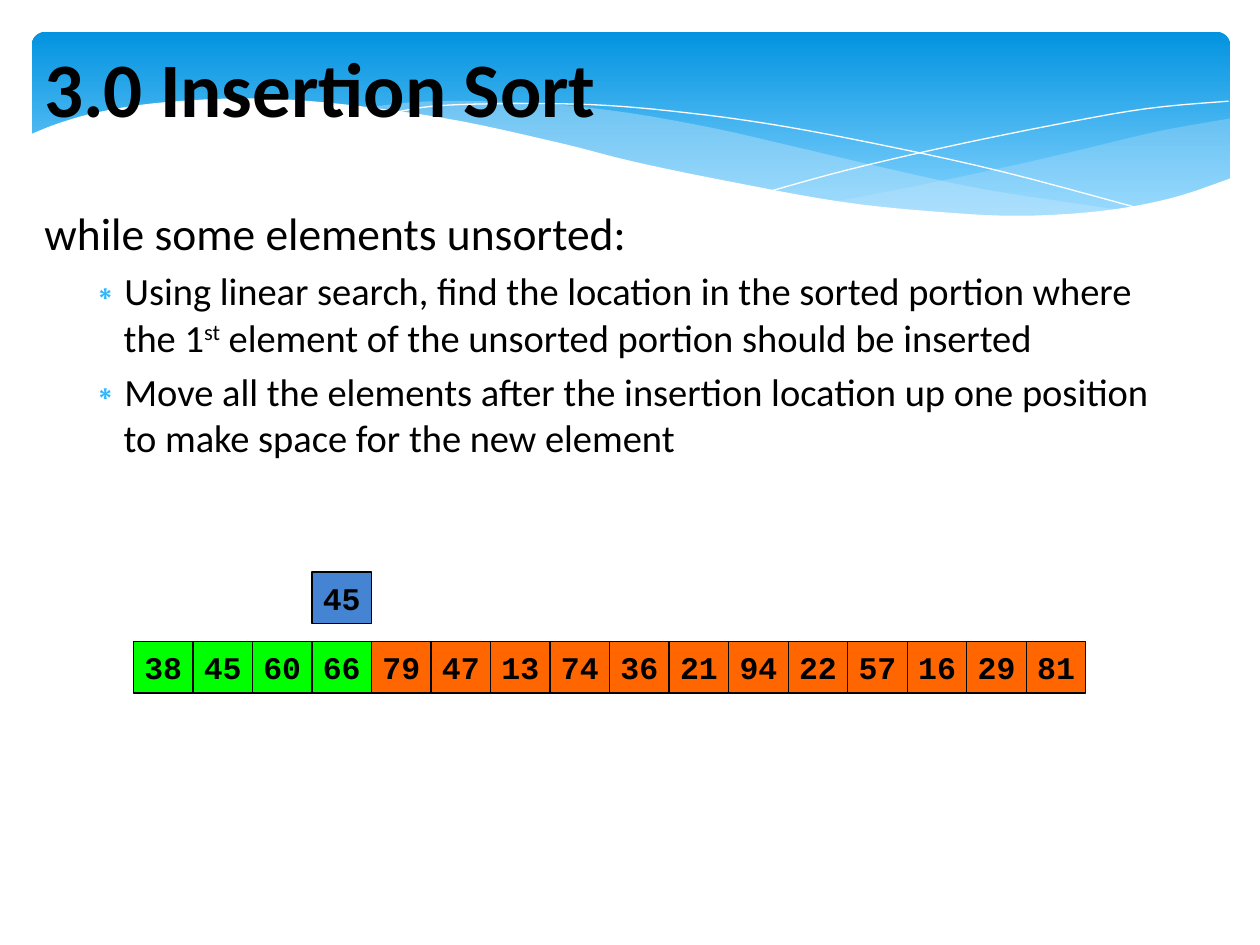
from lxml import etree
from pptx import Presentation
from pptx.dml.color import RGBColor
from pptx.enum.shapes import MSO_SHAPE
from pptx.enum.text import MSO_ANCHOR, MSO_AUTO_SIZE, PP_ALIGN
from pptx.oxml.ns import qn
from pptx.util import Cm, Pt

ROUNDED, RECTANGLE = MSO_SHAPE.ROUNDED_RECTANGLE, MSO_SHAPE.RECTANGLE
MIDDLE, TOP = MSO_ANCHOR.MIDDLE, MSO_ANCHOR.TOP
LEFT, CENTER = PP_ALIGN.LEFT, PP_ALIGN.CENTER
NO_AUTOFIT = MSO_AUTO_SIZE.NONE

COLORS = {
    "text": "000000", "white": "FFFFFF", "deep": "0293E0", "sky": "83D3FE",
    "wave": "C6E7FC", "bullet": "31B6FD", "sorted": "00FF00",
    "unsorted": "FF6600", "moving": "4584D3",
}
RIGHT_WAVE_TOP = [
    (24.16, 1.75), (23.11, 1.93), (22.38, 2.08), (21.23, 2.36),
    (19.81, 2.69), (17.88, 3.1), (16.15, 3.43),
]
RIGHT_WAVE_BOTTOM = [
    (16.15, 3.43), (17.27, 3.56), (18.29, 3.66), (19.76, 3.73),
    (21.06, 3.68), (22.15, 3.56), (23.11, 3.33), (24.16, 2.95),
]
MIDDLE_WAVE_TOP = [
    (6.63, 1.55), (7.7, 1.42), (9.02, 1.4), (10.59, 1.47), (12.12, 1.65),
    (13.82, 1.96), (15.34, 2.31), (17.3, 2.77), (19.05, 3.15),
    (20.62, 3.4), (22.05, 3.61),
]
MIDDLE_WAVE_BOTTOM = [
    (22.05, 3.61), (20.65, 3.73), (19.58, 3.76), (18.36, 3.68),
    (16.64, 3.51), (15.06, 3.25), (12.83, 2.79), (10.77, 2.31),
    (9.09, 1.93), (7.57, 1.65), (6.63, 1.55),
]
FALLING_LINE = [
    (7.21, 1.65), (8.1, 1.5), (9.55, 1.45), (11.28, 1.47), (12.9, 1.6),
    (14.81, 1.85), (17.02, 2.26), (19.56, 2.82), (22.4, 3.58),
]
RISING_LINE = [
    (14.94, 3.2), (16.43, 2.79), (18.36, 2.34), (20.6, 1.88),
    (22.48, 1.55), (24.13, 1.4),
]
WHITE_EDGE = [
    (24.18, 2.95), (22.99, 3.35), (21.59, 3.61), (19.91, 3.71),
    (18.26, 3.63), (16.33, 3.43), (14.07, 3.02), (12.14, 2.62),
    (10.72, 2.26), (8.64, 1.8), (6.78, 1.52), (5.21, 1.37), (3.86, 1.35),
    (2.39, 1.45), (1.3, 1.63), (0.53, 1.85), (-0.05, 2.08),
]
WHITE_BASE = [(-0.05, 5.05), (24.18, 5.05)]
STEPS = [
    [("Using linear search, find the location in the sorted portion where the 1", False),
     ("st", True),
     (" element of the unsorted portion should be inserted", False)],
    [("Move all the elements after the insertion location up one position "
      "to make space for the new element", False)],
]
VALUES = [38, 45, 60, 66, 79, 47, 13, 74, 36, 21, 94, 22, 57, 16, 29, 81]
SORTED_COUNT = 4
MOVING_SLOT, MOVING_VALUE = 3, 45


def color(name):
    return RGBColor.from_string(COLORS[name])


def set_font(para, name, size, bold=False):
    para.font.name = name
    para.font.size = Pt(size)
    para.font.bold = bold
    para.font.color.rgb = color("text")


def smooth(knots, steps=5):
    padded = [knots[0], *knots, knots[-1]]
    points = []
    for before, start, end, after in zip(padded, padded[1:], padded[2:], padded[3:]):
        for step in range(steps):
            t = step / steps
            points.append(tuple(
                b + ((c - a) * t + (2 * a - 5 * b + 4 * c - d) * t ** 2
                     + (3 * b - a - 3 * c + d) * t ** 3) / 2
                for a, b, c, d in zip(before, start, end, after)))
    return points + [knots[-1]]


def add_outline(page, left, top, points, close):
    places = [(left + Cm(x), top + Cm(y)) for x, y in points]
    builder = page.shapes.build_freeform(*places[0])
    builder.add_line_segments(places[1:], close=close)
    outline = builder.convert_to_shape()
    outline.shadow.inherit = False
    return outline


def add_area(page, left, top, points, fill, opacity=100):
    area = add_outline(page, left, top, points, True)
    area.fill.solid()
    area.fill.fore_color.rgb = color(fill)
    area.line.fill.background()
    if opacity < 100:
        tone = area.fill._xPr.find(qn("a:solidFill"))[0]
        etree.SubElement(tone, qn("a:alpha"), val=str(opacity * 1000))


def add_banner(page, left, top, width, height):
    panel = page.shapes.add_shape(ROUNDED, left, top, width, height)
    panel.shadow.inherit = False
    panel.adjustments[0] = 0.07
    panel.line.fill.background()
    panel.fill.gradient()
    panel.fill.gradient_angle = 270
    for stop, name, position in zip(panel.fill.gradient_stops, ("deep", "sky"), (0, 0.9)):
        stop.color.rgb = color(name)
        stop.position = position
    add_area(page, left, top, smooth(RIGHT_WAVE_TOP) + smooth(RIGHT_WAVE_BOTTOM), "wave", 29)
    add_area(page, left, top, smooth(MIDDLE_WAVE_TOP) + smooth(MIDDLE_WAVE_BOTTOM), "wave", 40)
    for knots in (FALLING_LINE, RISING_LINE):
        curve = add_outline(page, left, top, smooth(knots), False)
        curve.fill.background()
        curve.line.color.rgb = color("white")
        curve.line.width = Pt(0)
    add_area(page, left, top, smooth(WHITE_EDGE) + WHITE_BASE, "white")


def place_in_front(page, holder, left, top, width, height):
    page.shapes._spTree.append(holder._element)
    holder.left, holder.top, holder.width, holder.height = left, top, width, height
    holder.text_frame.auto_size = NO_AUTOFIT
    return holder.text_frame


def add_title(page, left, top, width, height):
    frame = place_in_front(page, page.shapes.title, left, top, width, height)
    frame.vertical_anchor = MIDDLE
    para = frame.paragraphs[0]
    para.text = "3.0 Insertion Sort"
    para.alignment = LEFT
    set_font(para, "Calibri", 44, True)


def set_bullet(para, margin, indent, symbol=None):
    props = para._p.get_or_add_pPr()
    props.set("marL", str(margin))
    props.set("indent", str(indent))
    if symbol is None:
        etree.SubElement(props, qn("a:buNone"))
        return
    tint = etree.SubElement(props, qn("a:buClr"))
    etree.SubElement(tint, qn("a:srgbClr"), val=COLORS["bullet"])
    etree.SubElement(props, qn("a:buChar"), char=symbol)


def add_steps(page, left, top, width, height):
    frame = place_in_front(page, page.placeholders[1], left, top, width, height)
    frame.vertical_anchor = TOP
    lead = frame.paragraphs[0]
    lead.text = "while some elements unsorted:"
    set_bullet(lead, 0, 0)
    set_font(lead, "Calibri", 26)
    for step in STEPS:
        para = frame.add_paragraph()
        para.level = 1
        set_bullet(para, Cm(1.6), Cm(-0.76), "∗")
        set_font(para, "Calibri", 22)
        for text, raised in step:
            span = para.add_run()
            span.text = text
            if raised:
                span.font._element.set("baseline", "30000")


def add_cell(page, left, top, width, height, value, fill):
    cell = page.shapes.add_shape(RECTANGLE, left, top, width, height)
    cell.shadow.inherit = False
    cell.fill.solid()
    cell.fill.fore_color.rgb = color(fill)
    cell.line.color.rgb = color("text")
    cell.line.width = Pt(0.75)
    frame = cell.text_frame
    frame.margin_left = frame.margin_right = Cm(0.13)
    frame.margin_top = frame.margin_bottom = Cm(0.13)
    frame.vertical_anchor = MIDDLE
    para = frame.paragraphs[0]
    para.text = str(value)
    para.alignment = CENTER
    set_font(para, "Courier New", 18, True)


def add_array(page, left, top, width, height):
    cell_width, cell_height = width / len(VALUES), Cm(1.04)
    row_top = top + height - cell_height
    for slot, value in enumerate(VALUES):
        fill = "sorted" if slot < SORTED_COUNT else "unsorted"
        add_cell(page, round(left + slot * cell_width), row_top,
                 round(cell_width), cell_height, value, fill)
    add_cell(page, round(left + MOVING_SLOT * cell_width), top,
             round(cell_width), cell_height, MOVING_VALUE, "moving")


def main():
    deck = Presentation()
    deck.slide_width, deck.slide_height = Cm(25.4), Cm(19.05)
    page = deck.slides.add_slide(deck.slide_layouts[1])
    add_banner(page, Cm(0.64), Cm(0.64), Cm(24.16), Cm(3.96))
    add_title(page, Cm(0.64), Cm(0), Cm(22.86), Cm(3.48))
    add_steps(page, Cm(0.64), Cm(4.01), Cm(22.86), Cm(7.29))
    add_array(page, Cm(2.69), Cm(11.53), Cm(19.2), Cm(2.44))
    deck.save("out.pptx")


if __name__ == "__main__":
    main()
